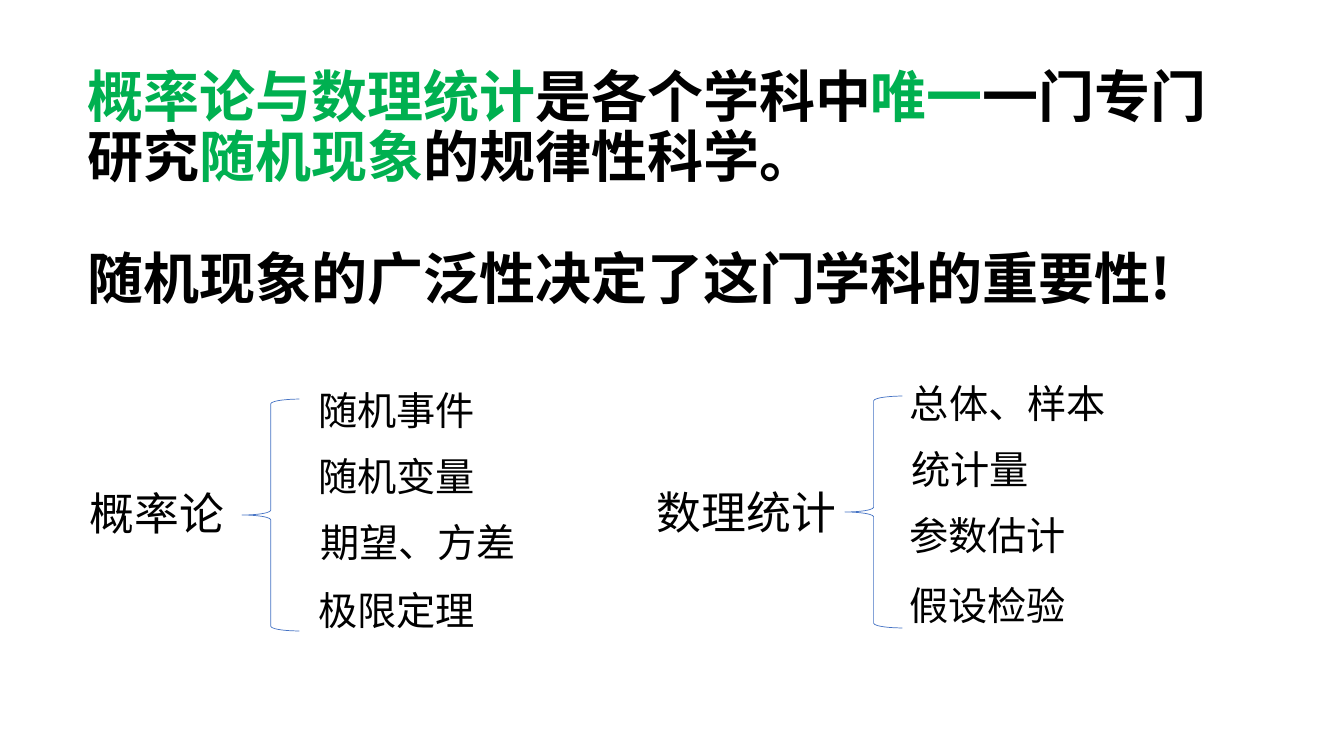
from lxml import etree
from pptx import Presentation
from pptx.dml.color import RGBColor
from pptx.enum.shapes import MSO_SHAPE as SHAPE
from pptx.enum.text import MSO_ANCHOR as ANCHOR, PP_ALIGN as ALIGN
from pptx.oxml.ns import qn
from pptx.util import Inches, Pt

BLACK = RGBColor(0, 0, 0)
GREEN = RGBColor(0x00, 0xB0, 0x50)
BLUE = RGBColor(0x44, 0x72, 0xC4)

TITLE = [
    [("概率论与数理统计", GREEN), ("是各个学科中", BLACK), ("唯一", GREEN),
     ("一门专门研究", BLACK), ("随机现象", GREEN), ("的规律性科学。", BLACK)],
    [("随机现象的广泛性决定了这门学科的重要性!", BLACK)],
]
BRANCHES = [
    ("概率论", 0.45, 4.83, 2.4, 3.96,
     [("随机事件", 2.83, 3.84), ("随机变量", 2.83, 4.49),
      ("期望、方差", 3.04, 5.15), ("极限定理", 2.83, 5.82)]),
    ("数理统计", 6.3, 4.82, 8.38, 3.93,
     [("总体、样本", 8.89, 3.77), ("统计量", 8.52, 4.42),
      ("参数估计", 8.69, 5.08), ("假设检验", 8.69, 5.77)]),
]


class Deck:
    font = "Noto Sans CJK SC"
    spacing = 0.9

    def __init__(self):
        self.prs = Presentation()
        self.prs.slide_width = Inches(13.33)
        self.prs.slide_height = Inches(7.5)
        self.s = self.prs.slides.add_slide(self.prs.slide_layouts[6])

    def style(self, r, size, color=BLACK, bold=False):
        r.font.size = Pt(size)
        r.font.bold = bold
        r.font.color.rgb = color
        r.font.name = self.font
        ea = etree.SubElement(r.font._element, qn("a:ea"))
        ea.set("typeface", self.font)

    def box(self, x, y, w, h):
        tf = self.s.shapes.add_textbox(Inches(x), Inches(y), Inches(w), Inches(h)).text_frame
        tf.word_wrap = True
        return tf

    def title(self, paragraphs, x, y, w, h, size=40, gap=43.6):
        tf = self.box(x, y, w, h)
        tf.vertical_anchor = ANCHOR.BOTTOM
        for i, pieces in enumerate(paragraphs):
            p = tf.add_paragraph() if i else tf.paragraphs[0]
            p.line_spacing = self.spacing
            if i:
                p.space_before = Pt(gap)
            for text, color in pieces:
                r = p.add_run()
                r.text = text
                self.style(r, size, color, True)

    def label(self, text, x, y, size):
        p = self.box(x, y, 2.21, 0.64).paragraphs[0]
        p.text = text
        p.alignment = ALIGN.CENTER
        p.line_spacing = self.spacing
        self.style(p.runs[0], size)

    def brace(self, x, y):
        sp = self.s.shapes.add_shape(SHAPE.LEFT_BRACE, Inches(x), Inches(y), Inches(0.57), Inches(2.3))
        sp.shadow.inherit = False
        sp.fill.background()
        sp.line.color.rgb = BLUE
        sp.line.width = Pt(0.5)


def main():
    deck = Deck()
    deck.title(TITLE, 0.77, 0.53, 11.79, 2.61)
    for name, x, y, brace_x, brace_y, topics in BRANCHES:
        deck.brace(brace_x, brace_y)
        deck.label(name, x, y, 32)
        for topic, topic_x, topic_y in topics:
            deck.label(topic, topic_x, topic_y, 28)
    deck.prs.save("out.pptx")


if __name__ == "__main__":
    main()
